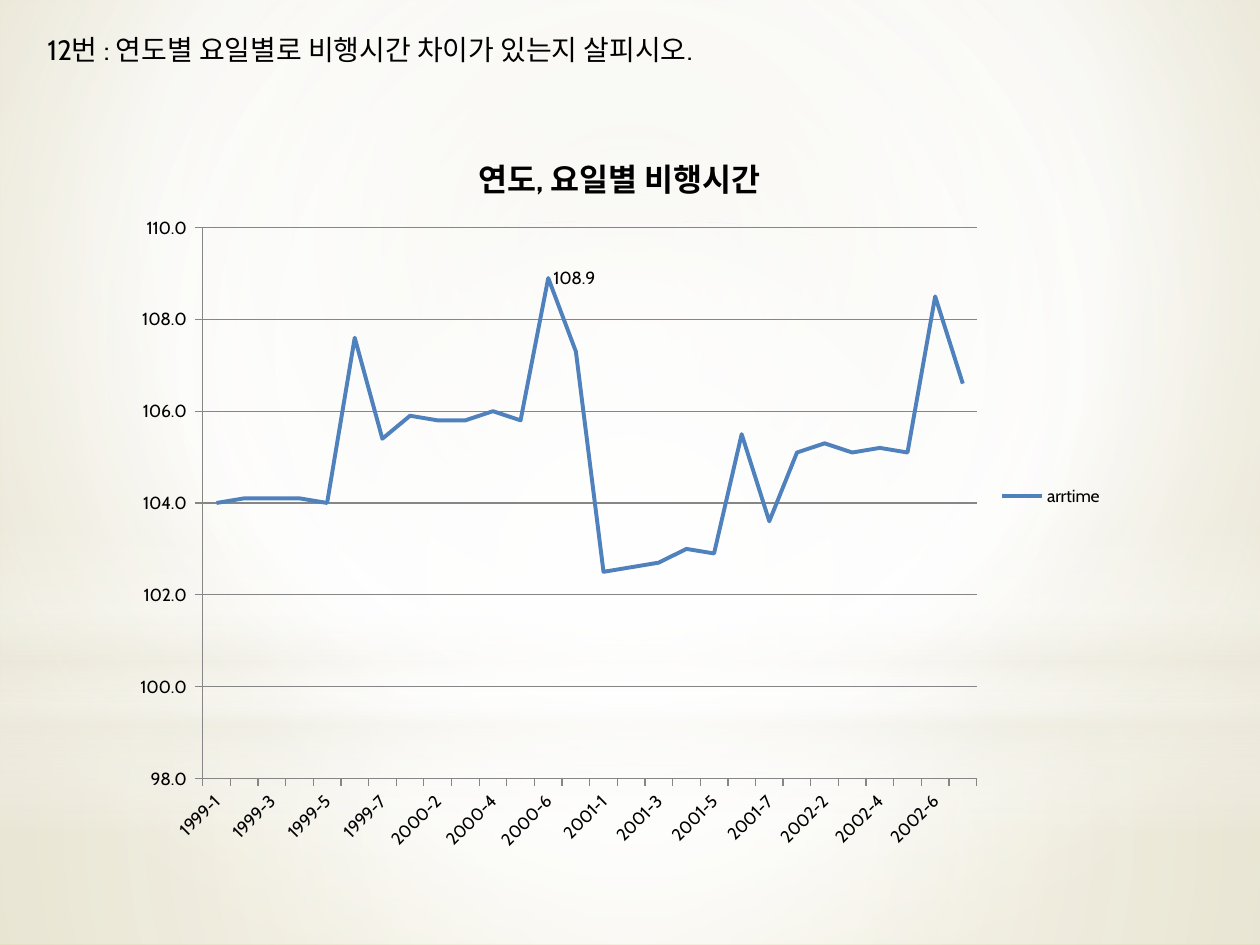
from lxml import etree
from pptx import Presentation
from pptx.chart.data import CategoryChartData
from pptx.dml.color import RGBColor
from pptx.enum.chart import XL_CHART_TYPE, XL_LABEL_POSITION, XL_LEGEND_POSITION, XL_TICK_MARK
from pptx.enum.shapes import MSO_SHAPE
from pptx.enum.text import MSO_AUTO_SIZE
from pptx.oxml.ns import qn
from pptx.util import Pt

LINE_CHART = XL_CHART_TYPE.LINE
LABEL_RIGHT = XL_LABEL_POSITION.RIGHT
LEGEND_RIGHT = XL_LEGEND_POSITION.RIGHT
TICK_OUTSIDE = XL_TICK_MARK.OUTSIDE
RECTANGLE = MSO_SHAPE.RECTANGLE
OVAL = MSO_SHAPE.OVAL
FIT_SHAPE = MSO_AUTO_SIZE.SHAPE_TO_FIT_TEXT

FONT = "Cabin"
BLACK = "000000"
GRAY = "868686"
BLUE = "4F81BD"
WHITE = "FFFFFF"
CREAM = "EEECE1"
CENTER = (50, 50, 50, 50)
NUMBER_FORMAT = "0.0_ "

DAYS = range(1, 8)
FLIGHT_TIMES = {
    1999: (104.0, 104.1, 104.1, 104.1, 104.0, 107.6, 105.4),
    2000: (105.9, 105.8, 105.8, 106.0, 105.8, 108.9, 107.3),
    2001: (102.5, 102.6, 102.7, 103.0, 102.9, 105.5, 103.6),
    2002: (105.1, 105.3, 105.1, 105.2, 105.1, 108.5, 106.6),
}


def color(value):
    return RGBColor.from_string(value)


def set_font(font, size, bold=False):
    font.name = FONT
    font.size = Pt(size)
    font.bold = bold
    font.color.rgb = color(BLACK)


def set_line(line, value, width):
    line.color.rgb = color(value)
    line.width = Pt(width)


def set_gradient(parent, stops, focus=None):
    gradient = etree.Element(qn("a:gradFill"), rotWithShape="1")
    stop_list = etree.SubElement(gradient, qn("a:gsLst"))
    for position, value, opacity in stops:
        stop = etree.SubElement(stop_list, qn("a:gs"), pos=str(position * 1000))
        shade = etree.SubElement(stop, qn("a:srgbClr"), val=value)
        if opacity < 100:
            etree.SubElement(shade, qn("a:alpha"), val=str(opacity * 1000))
    if focus:
        circle = etree.SubElement(gradient, qn("a:path"))
        circle.set("path", "circle")
        edges = {side: str(share * 1000) for side, share in zip("ltrb", focus)}
        etree.SubElement(circle, qn("a:fillToRect"), edges)
    else:
        etree.SubElement(gradient, qn("a:lin"), ang="5400000", scaled="0")
    parent.replace(parent.find(qn("a:solidFill")), gradient)


def set_background(page, stops, focus):
    page.background.fill.solid()
    set_gradient(page.element.find(".//" + qn("p:bgPr")), stops, focus)


def add_glow(page, kind, top, height, stops, focus=None):
    glow = page.shapes.add_shape(kind, Pt(0), Pt(top), Pt(720), Pt(height))
    glow.shadow.inherit = False
    glow.line.fill.background()
    glow.fill.solid()
    set_gradient(glow.element.spPr, stops, focus)


def add_text(page, text, left, top, width, height, size):
    box = page.shapes.add_textbox(Pt(left), Pt(top), Pt(width), Pt(height))
    box.text_frame.word_wrap = False
    box.text_frame.auto_size = FIT_SHAPE
    para = box.text_frame.paragraphs[0]
    para.text = text
    set_font(para.font, size)


def place_plot(chart, **shares):
    plot_area = chart.element.find(".//" + qn("c:plotArea"))
    layout = plot_area.find(qn("c:layout"))
    if layout is None:
        layout = etree.Element(qn("c:layout"))
        plot_area.insert(0, layout)
    manual = etree.SubElement(layout, qn("c:manualLayout"))
    settings = {"layoutTarget": "inner", "xMode": "edge", "yMode": "edge", **shares}
    for name, value in settings.items():
        etree.SubElement(manual, qn("c:" + name), val=str(value))


def style_axes(chart):
    for axis in (chart.category_axis, chart.value_axis):
        axis.major_tick_mark = TICK_OUTSIDE
        set_line(axis.format.line, GRAY, 0.75)
        set_font(axis.tick_labels.font, 10)
    axis = chart.value_axis
    axis.minimum_scale = 98
    axis.maximum_scale = 110
    axis.major_unit = 2
    axis.tick_labels.number_format = NUMBER_FORMAT
    axis.tick_labels.number_format_is_linked = False
    set_line(axis.major_gridlines.format.line, GRAY, 0.75)


def add_flight_chart(page):
    data = CategoryChartData(number_format=NUMBER_FORMAT)
    data.categories = [f"{year}-{day}" for year in FLIGHT_TIMES for day in DAYS]
    times = [time for week in FLIGHT_TIMES.values() for time in week]
    data.add_series("arrtime", times)
    frame = page.shapes.add_chart(LINE_CHART, Pt(70.5), Pt(70.5), Pt(567), Pt(425.5), data)
    chart = frame.chart
    set_font(chart.font, 10)
    chart.has_title = True
    title = chart.chart_title.text_frame.paragraphs[0]
    title.text = "연도, 요일별 비행시간"
    set_font(title.font, 18, bold=True)
    chart.has_legend = True
    chart.legend.position = LEGEND_RIGHT
    chart.legend.include_in_layout = False
    set_font(chart.legend.font, 10)
    style_axes(chart)
    place_plot(chart, x=0.08, y=0.14, w=0.78, h=0.74)

    plot = chart.plots[0]
    plot.vary_by_categories = False
    series = plot.series[0]
    series.smooth = False
    set_line(series.format.line, BLUE, 2.25)
    peak_label = series.points[times.index(max(times))].data_label
    peak_label.position = LABEL_RIGHT
    set_font(peak_label.font, 10)
    series.data_labels.show_value = False


def main():
    deck = Presentation()
    deck.slide_width = Pt(720)
    deck.slide_height = Pt(540)
    page = deck.slides.add_slide(deck.slide_layouts[6])

    set_background(page, [(0, "E7E4D4", 100), (60, WHITE, 100), (100, "D5CC9F", 100)],
                   (20, 10, 20, 60))
    add_glow(page, RECTANGLE, 402, 138,
             [(0, WHITE, 91), (37, WHITE, 76), (100, CREAM, 79)], CENTER)
    add_glow(page, RECTANGLE, 0, 402,
             [(0, WHITE, 89), (48, WHITE, 62), (100, CREAM, 79)], CENTER)
    add_glow(page, RECTANGLE, 297, 180,
             [(0, WHITE, 0), (29, WHITE, 30), (45, CREAM, 40),
              (55, WHITE, 26), (65, CREAM, 60), (100, WHITE, 0)])
    add_glow(page, OVAL, 126, 402, [(0, WHITE, 100), (56, WHITE, 0)], CENTER)

    add_flight_chart(page)
    add_text(page, "12번 : 연도별 요일별로 비행시간 차이가 있는지 살피시오.",
             20, 15, 433.5, 26.5, 16)
    deck.save("out.pptx")


if __name__ == "__main__":
    main()
